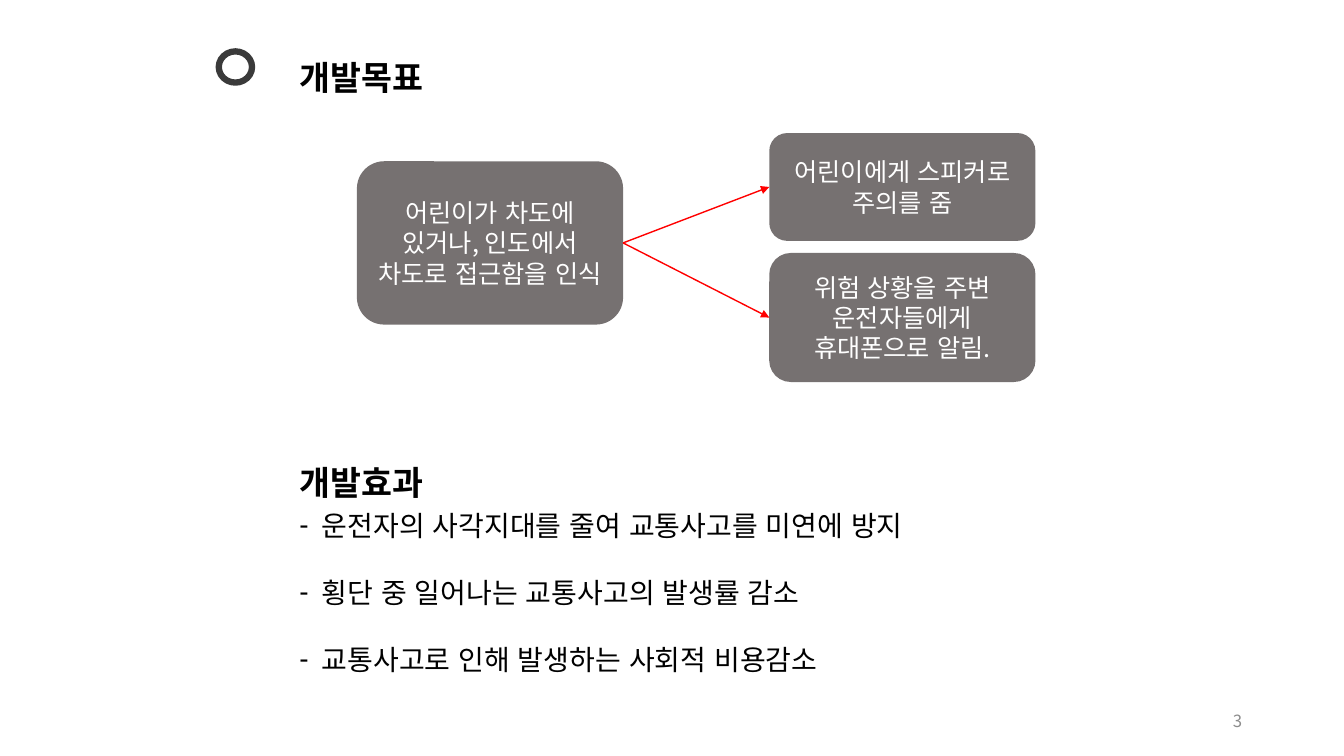
from lxml.etree import SubElement
from pptx import Presentation
from pptx.dml.color import RGBColor
from pptx.enum.lang import MSO_LANGUAGE_ID
from pptx.enum.shapes import MSO_CONNECTOR, MSO_SHAPE
from pptx.enum.text import MSO_ANCHOR, MSO_AUTO_SIZE, PP_ALIGN
from pptx.oxml.ns import qn
from pptx.util import Inches, Pt

FONT = "Noto Sans CJK KR"
BLACK = RGBColor(0x00, 0x00, 0x00)
WHITE = RGBColor(0xFF, 0xFF, 0xFF)
GRAY = RGBColor(0x76, 0x71, 0x71)
DARK = RGBColor(0x3A, 0x3A, 0x3A)
PALE = RGBColor(0x8C, 0x8C, 0x8C)
RED = RGBColor(0xFF, 0x00, 0x00)


def write(tf, lines, size=18, color=BLACK, bold=False, align=PP_ALIGN.LEFT,
          anchor=MSO_ANCHOR.TOP, gap=0, bullet=None, field=None):
    tf.word_wrap = True
    tf.auto_size = MSO_AUTO_SIZE.NONE
    tf.vertical_anchor = anchor
    for i, text in enumerate(lines):
        p = tf.add_paragraph() if i else tf.paragraphs[0]
        p.alignment = align
        p.line_spacing = 1.0
        p.space_before = Pt(gap if i else 0)
        p.space_after = Pt(0)
        if bullet:
            pPr = p._p.get_or_add_pPr()
            indent = Inches(0.22)
            pPr.set("marL", str(indent))
            pPr.set("indent", str(-indent))
            SubElement(pPr, qn("a:buChar"), char=bullet)
        r = p.add_run()
        r.text = text
        font = r.font
        font.name, font.size, font.bold = FONT, Pt(size), bold
        font.color.rgb = color
        font.language_id = MSO_LANGUAGE_ID.KOREAN
        SubElement(r._r.get_or_add_rPr(), qn("a:ea"), typeface=FONT)
        if field:
            r._r.tag = qn("a:fld")
            r._r.set("id", "{B6F15528-21DE-4FAA-801E-634DDDAF4B2B}")
            r._r.set("type", field)


class Deck:
    def __init__(self, prs):
        self.s = prs.slides.add_slide(prs.slide_layouts[1])

    def placeholder(self, idx, box, lines, **style):
        sp = self.s.placeholders[idx]
        sp.left, sp.top, sp.width, sp.height = map(Inches, box)
        write(sp.text_frame, lines, **style)

    def text(self, box, text, **style):
        sp = self.s.shapes.add_textbox(*map(Inches, box))
        write(sp.text_frame, [text], **style)

    def shape(self, kind, box, fill, line=None, width=0):
        sp = self.s.shapes.add_shape(kind, *map(Inches, box))
        sp.shadow.inherit = False
        sp.fill.solid()
        sp.fill.fore_color.rgb = fill
        if line:
            sp.line.color.rgb = line
            sp.line.width = Pt(width)
        else:
            sp.line.fill.background()
        return sp

    def card(self, box, text):
        sp = self.shape(MSO_SHAPE.ROUNDED_RECTANGLE, box, GRAY)
        write(sp.text_frame, [text], color=WHITE, align=PP_ALIGN.CENTER,
              anchor=MSO_ANCHOR.MIDDLE)
        return sp

    def arrow(self, start, end):
        c = self.s.shapes.add_connector(MSO_CONNECTOR.STRAIGHT, 0, 0, 0, 0)
        c.begin_connect(start, 3)
        c.end_connect(end, 1)
        c.line.color.rgb = RED
        c.line.width = Pt(1)
        SubElement(c.line._get_or_add_ln(), qn("a:tailEnd"), type="triangle")
        SubElement(c._element.spPr, qn("a:effectLst"))


def main():
    prs = Presentation()
    prs.slide_width, prs.slide_height = Inches(13.33), Inches(7.5)
    deck = Deck(prs)
    heading = dict(size=24, bold=True)
    deck.placeholder(0, (2.87, 0.51, 3.73, 0.81), ["개발목표"], **heading)
    deck.text((2.87, 4.53, 3.73, 0.81), "개발효과", **heading)
    deck.placeholder(1, (2.87, 4.99, 9.53, 2.12), [
        "운전자의 사각지대를 줄여 교통사고를 미연에 방지",
        "횡단 중 일어나는 교통사고의 발생률 감소",
        "교통사고로 인해 발생하는 사회적 비용감소",
    ], size=20, gap=24, bullet="-")
    deck.text((9.42, 6.95, 3, 0.4), "3", size=12, color=PALE,
              align=PP_ALIGN.RIGHT, anchor=MSO_ANCHOR.MIDDLE)
    deck.shape(MSO_SHAPE.OVAL, (2.17, 0.51, 0.33, 0.31), WHITE, DARK, 4.5)

    detection = deck.card((3.54, 1.6, 2.64, 1.62),
                          "어린이가 차도에 있거나, 인도에서 차도로 접근함을 인식")
    responses = [
        (1.32, 1.07, "어린이에게 스피커로 주의를 줌"),
        (2.51, 1.28, "위험 상황을 주변 운전자들에게 휴대폰으로 알림."),
    ]
    for top, height, text in responses:
        deck.arrow(detection, deck.card((7.63, top, 2.64, height), text))
    prs.save("out.pptx")


if __name__ == "__main__":
    main()
